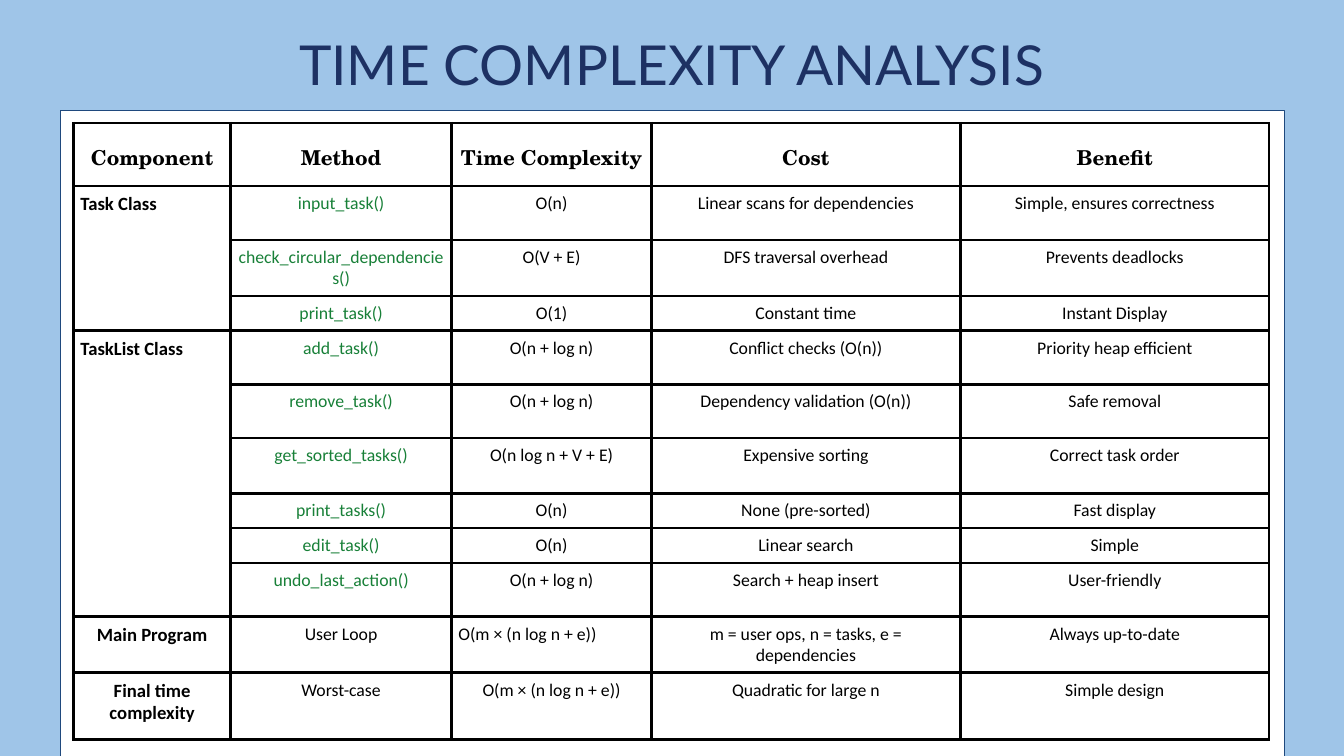
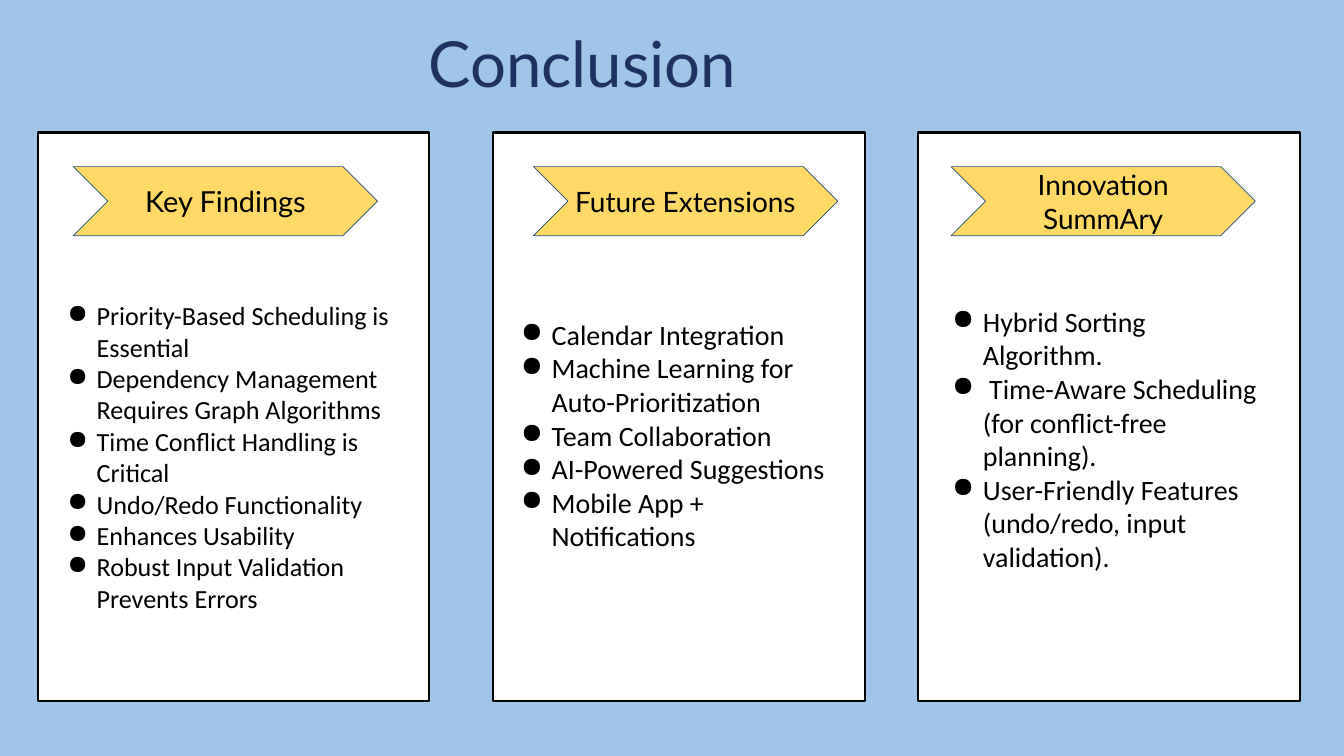
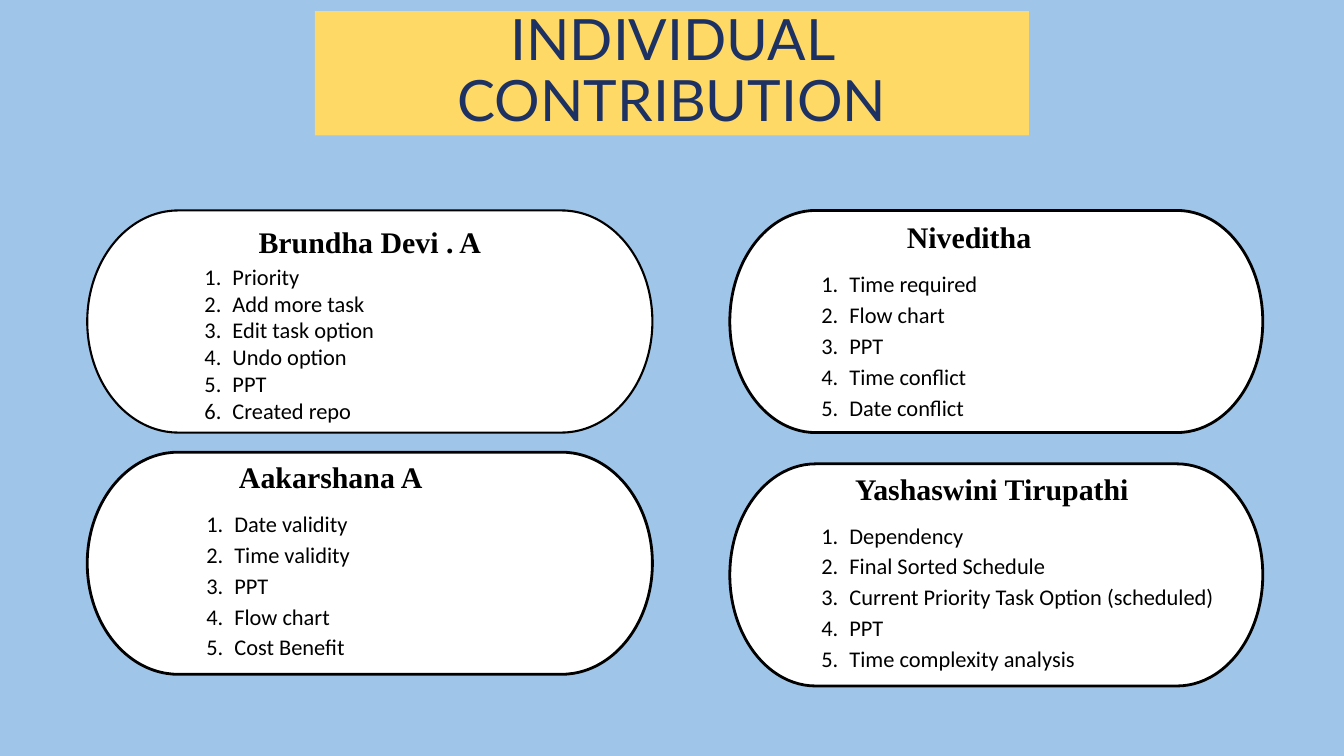
from lxml import etree
from pptx import Presentation, util as u
from pptx.dml.color import RGBColor
from pptx.enum import shapes, text
from pptx.oxml import ns

Pt = u.Pt
COLORS = {"sky": "9FC5E8", "navy": "1D3163", "white": "FFFFFF", "black": "000000",
          "gold": "FFD966", "blue": "1F497D", "green": "188038"}
LEFT, CENTER = text.PP_ALIGN.LEFT, text.PP_ALIGN.CENTER
TOP, MIDDLE = text.MSO_ANCHOR.TOP, text.MSO_ANCHOR.MIDDLE
BODY, DISPLAY, HEADER, NAME = "Calibri", "Lato", "TeX Gyre Schola", "Times New Roman"
INSET = 7.2


def rgb(name):
    return RGBColor.from_string(COLORS[name])


def add_xml(parent, tag, **attributes):
    return etree.SubElement(parent, ns.qn(tag), attributes)


def write(paragraph, words, size=24, font=BODY, color="black", bold=False, align=LEFT,
          spacing=None, before=None, margin=0, hang=0, bullet=None):
    """Fill one paragraph; bullet is a character, or "1." for numbering."""
    properties = paragraph._p.get_or_add_pPr()
    properties.set("marL", str(Pt(margin)))
    properties.set("indent", str(Pt(-hang)))
    if bullet:
        add_xml(add_xml(properties, "a:buClr"), "a:srgbClr", val=COLORS["black"])
        if bullet == "1.":
            add_xml(properties, "a:buAutoNum", type="arabicPeriod")
        else:
            add_xml(properties, "a:buChar", char=bullet)
    paragraph.alignment = align
    if spacing:
        paragraph.line_spacing = spacing
    if before:
        paragraph.space_before = Pt(before)
    run = paragraph.add_run()
    run.text = words
    run.font.size, run.font.name, run.font.bold = Pt(size), font, bold
    run.font.color.rgb = rgb(color)


class Deck:
    def __init__(self):
        self.show = Presentation()
        self.show.slide_width, self.show.slide_height = Pt(1440), Pt(810)
        self.slide = None

    def new_slide(self):
        self.slide = self.show.slides.add_slide(self.show.slide_layouts[6])
        self.slide.background.fill.solid()
        self.slide.background.fill.fore_color.rgb = rgb("sky")

    def frame(self, shape, lines, inset=INSET, top=None, anchor=TOP):
        """Put lines, each a (words, format) pair, into a shape."""
        frame = shape.text_frame
        frame.word_wrap, frame.vertical_anchor = True, anchor
        frame.margin_left = frame.margin_right = frame.margin_bottom = Pt(inset)
        frame.margin_top = Pt(inset if top is None else top)
        for i, (words, style) in enumerate(lines):
            write(frame.add_paragraph() if i else frame.paragraphs[0], words, **style)

    def shape(self, kind, box, fill="white", line=None, width=0.75):
        shape = self.slide.shapes.add_shape(kind, *map(Pt, box))
        shape.shadow.inherit = False
        shape.fill.solid()
        shape.fill.fore_color.rgb = rgb(fill)
        if line:
            shape.line.color.rgb, shape.line.width = rgb(line), Pt(width)
        else:
            shape.line.fill.background()
        return shape

    def rect(self, box, **look):
        return self.shape(shapes.MSO_SHAPE.RECTANGLE, box, **look)

    def text(self, box, lines, **layout):
        self.frame(self.slide.shapes.add_textbox(*map(Pt, box)), lines, **layout)

    def title(self, box, words, size, align=CENTER, band=None):
        line = (words, dict(size=size, font=DISPLAY, color="navy", align=align, spacing=0.9))
        if band:
            self.frame(self.rect(box, fill=band), [line], inset=0)
        else:
            self.text(box, [line], inset=0)

    def chevron(self, box, words, size):
        shape = self.shape(shapes.MSO_SHAPE.CHEVRON, box, fill="gold", line="blue")
        self.frame(shape, [(words, dict(size=size, font=DISPLAY, align=CENTER))], anchor=MIDDLE)

    def table(self, left, top, widths, heights):
        table = self.slide.shapes.add_table(
            len(heights), len(widths), Pt(left), Pt(top), Pt(sum(widths)), Pt(sum(heights))).table
        table.first_row = table.horz_banding = False
        for column, width in zip(table.columns, widths):
            column.width = Pt(width)
        for row, height in zip(table.rows, heights):
            row.height = Pt(height)
        for cell in table.iter_cells():
            properties = cell._tc.get_or_add_tcPr()
            for side in ("L", "R", "T", "B"):
                border = add_xml(properties, "a:ln" + side, w=str(Pt(3)))
                add_xml(add_xml(border, "a:solidFill"), "a:srgbClr", val=COLORS["black"])
            cell.fill.background()
            cell.margin_left = cell.margin_right = Pt(INSET)
            cell.margin_top = cell.margin_bottom = Pt(INSET)
        return table


COMPLEXITY = [
    ("Component", "Method", "Time Complexity", "Cost", "Benefit"),
    ("Task Class", "input_task()", "O(n)", "Linear scans for dependencies",
     "Simple, ensures correctness"),
    ("", "check_circular_dependencies()", "O(V + E)", "DFS traversal overhead",
     "Prevents deadlocks"),
    ("", "print_task()", "O(1)", "Constant time", "Instant Display"),
    ("TaskList Class", "add_task()", "O(n + log n)", "Conflict checks (O(n))",
     "Priority heap efficient"),
    ("", "remove_task()", "O(n + log n)", "Dependency validation (O(n))", "Safe removal"),
    ("", "get_sorted_tasks()", "O(n log n + V + E)", "Expensive sorting", "Correct task order"),
    ("", "print_tasks()", "O(n)", "None (pre-sorted)", "Fast display"),
    ("", "edit_task()", "O(n)", "Linear search", "Simple"),
    ("", "undo_last_action()", "O(n + log n)", "Search + heap insert", "User-friendly"),
    ("Main Program", "User Loop", "O(m × (n log n + e))",
     "m = user ops, n = tasks, e = dependencies", "Always up-to-date"),
    ("Final time complexity", "Worst-case", "O(m × (n log n + e))", "Quadratic for large n",
     "Simple design"),
]
CLASS_ROWS = [(1, 3), (4, 9)]  # first and last row of each class


def complexity_slide(deck):
    deck.new_slide()
    deck.title((154, 41, 1132, 64), "TIME COMPLEXITY ANALYSIS", 59)
    deck.rect((65, 118, 1311, 692), line="blue")
    table = deck.table(79, 132, [168, 237, 214, 331, 331],
                       [67.5, 57.6, 55.5, 36, 57.6, 57.6, 59, 36, 36, 57.6, 59, 72])
    for first, last in CLASS_ROWS:
        table.cell(first, 0).merge(table.cell(last, 0))
    class_starts = [first for first, _ in CLASS_ROWS]
    for r, row in enumerate(COMPLEXITY):
        for c, words in enumerate(row):
            if not words:
                continue
            style = dict(size=19, align=CENTER)
            if r == 0:
                style.update(size=22, font=HEADER, bold=True, spacing=1.15)
                table.cell(r, c).vertical_anchor = MIDDLE
            elif c == 0:
                style.update(size=20, bold=True, align=LEFT if r in class_starts else CENTER)
            elif c == 1 and words.endswith("()"):
                style["color"] = "green"
            elif (r, c) == (10, 2):
                style["align"] = LEFT
            write(table.cell(r, c).text_frame.paragraphs[0], words, **style)


# Heading, heading size, chevron left, card left and width, list box, list top, size, hang, points
CONCLUSIONS = [
    ("Key Findings", 31, 78.5, 41, 419, (60.5, 168, 369, 551), 153, 28, 31.5,
     ["Priority-Based Scheduling is Essential", "Dependency Management Requires Graph Algorithms",
      "Time Conflict Handling is Critical", "Undo/Redo Functionality", "Enhances Usability",
      "Robust Input Validation"]),
    ("Future Extensions", 30, 571.5, 528.5, 398, (548, 177, 358.5, 535), 163, 30, 33,
     ["Calendar Integration", "Machine Learning for Auto-Prioritization", "Team Collaboration",
      "AI-Powered Suggestions", "Mobile App + Notifications"]),
    ("Innovation SummAry", 30, 1019, 983.5, 409, (1010, 173, 349, 551), 153, 30, 33,
     ["Hybrid Sorting Algorithm.", " Time-Aware Scheduling (for conflict-free planning).",
      "User-Friendly Features (undo/redo, input validation)."]),
]


def conclusion_slide(deck):
    deck.new_slide()
    deck.title((459, 34.5, 482, 74), "Conclusion", 68, align=LEFT)
    for heading, heading_size, tag_left, left, width, box, top, size, hang, points in CONCLUSIONS:
        deck.rect((left, 142, width, 609), line="black", width=2.25)
        lines = [(point, dict(size=size, margin=36, hang=hang, bullet="●")) for point in points]
        if heading == "Key Findings":
            lines.append(("Prevents Errors", dict(size=size, margin=36)))
        deck.frame(deck.rect(box), lines, top=top)
        deck.chevron((tag_left, 178.5, 326, 74), heading, heading_size)


# Member, pill box, outline, text box, name indent, item margin, spacing, gap, tasks
MEMBERS = [
    ("Brundha Devi . A", (93.5, 225.5, 605.5, 238), 2.25, (183.5, 232, 474, 222), 86.5, 58.5, 1, 4,
     ["Priority", "Add more task", "Edit task option", "Undo option", "PPT", "Created repo"]),
    ("Niveditha", (782, 225.5, 571, 238), 3, (849, 227.5, 438, 187), 115.5, 54, 1.15, 12,
     ["Time required", "Flow chart", "PPT", "Time conflict", "Date conflict"]),
    ("Aakarshana A", (93.5, 484.5, 605.5, 238), 3, (190, 484.5, 413, 197), 59, 54, 1.15, 12,
     ["Date validity", "Time validity", "PPT", "Flow chart", "Cost Benefit"]),
    ("Yashaswini Tirupathi", (782, 497, 571, 238), 3, (849, 497, 492.5, 197), 60, 54, 1.15, 12,
     ["Dependency", "Final Sorted Schedule", "Current Priority Task Option (scheduled)", "PPT",
      "Time complexity analysis"]),
]


def contribution_slide(deck):
    deck.new_slide()
    deck.title((337.5, 12, 765, 133), "INDIVIDUAL CONTRIBUTION", 61, band="gold")
    for member, pill, outline, box, indent, margin, spacing, gap, tasks in MEMBERS:
        deck.shape(shapes.MSO_SHAPE.FLOWCHART_TERMINATOR, pill, line="black", width=outline)
        lines = [(member, dict(size=32, font=NAME, bold=True, margin=indent))]
        for i, task in enumerate(tasks):
            lines.append((task, dict(margin=margin, hang=30, bullet="1.", spacing=spacing,
                                     before=0 if i else gap)))
        deck.text(box, lines)


def main():
    deck = Deck()
    complexity_slide(deck)
    conclusion_slide(deck)
    contribution_slide(deck)
    deck.show.save("out.pptx")


if __name__ == "__main__":
    main()
